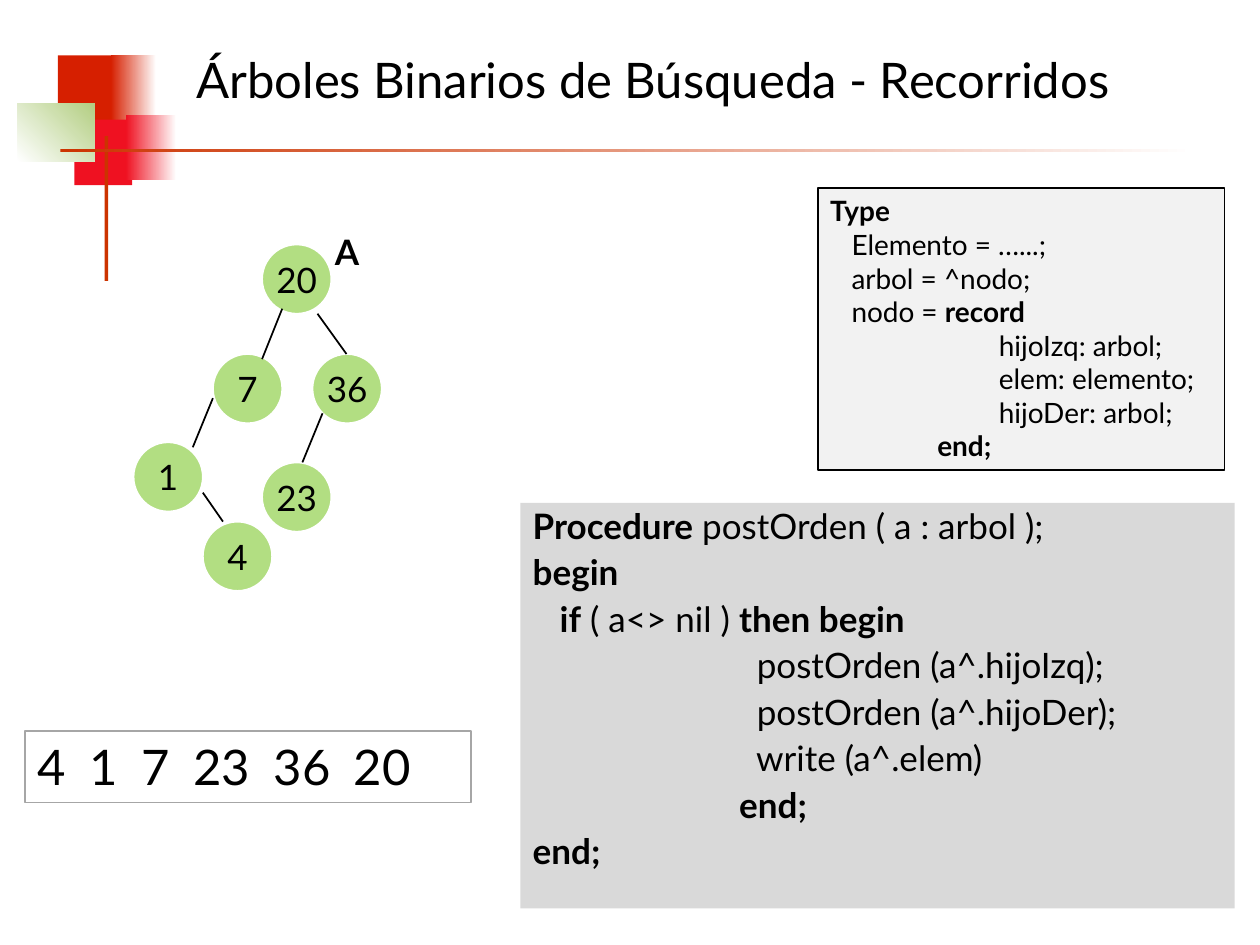
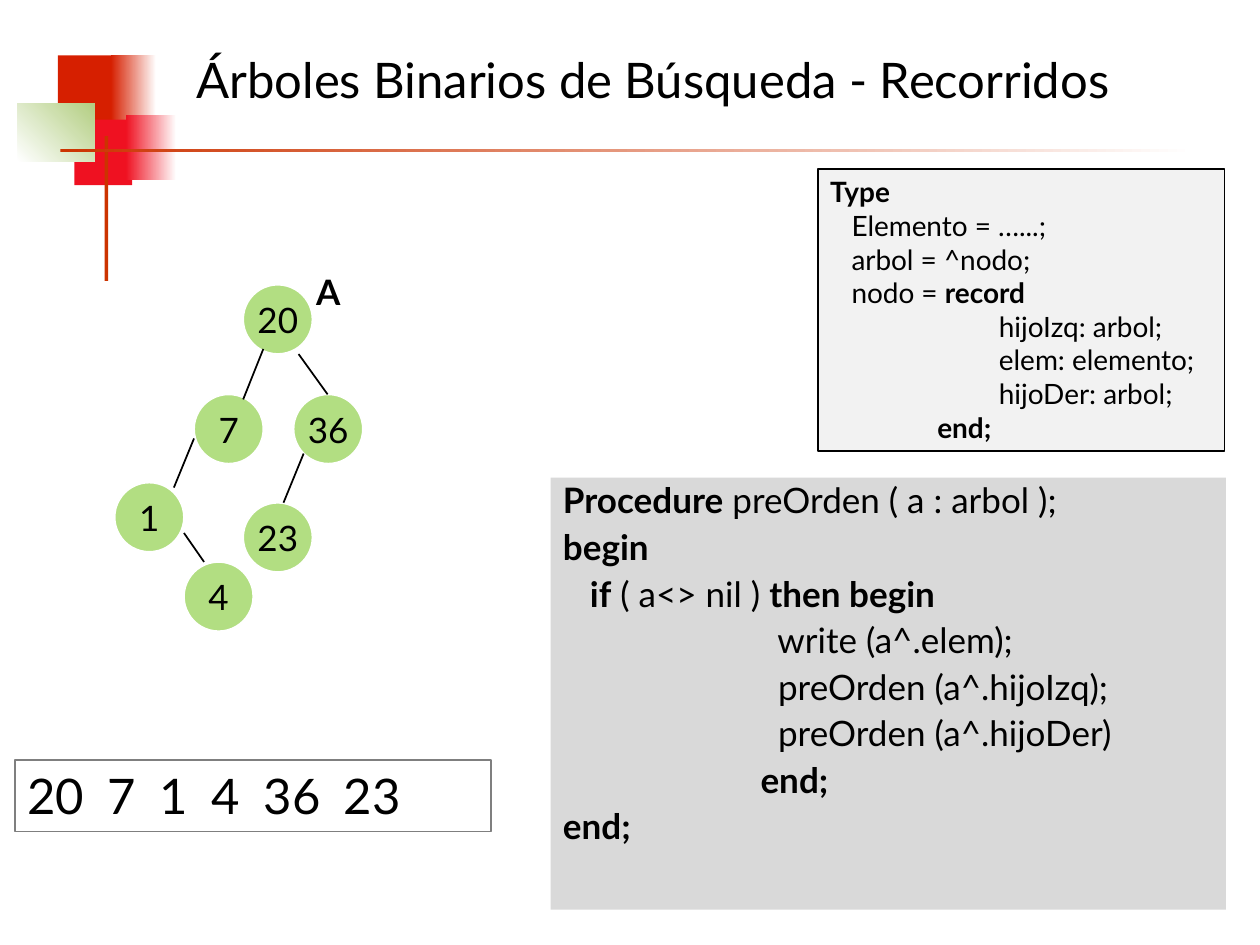
from lxml.etree import SubElement
from pptx import Presentation
from pptx.dml.color import RGBColor as Rgb
from pptx.enum.shapes import MSO_CONNECTOR as Connector, MSO_SHAPE as Shape
from pptx.enum.text import MSO_ANCHOR as Anchor, MSO_AUTO_SIZE as AutoSize, PP_ALIGN as Align
from pptx.oxml.ns import qn
from pptx.util import Inches, Pt

FONT = "Lato"
TITLE = "Árboles Binarios de Búsqueda - Recorridos"
COLORS = {
    "black": "000000",
    "white": "FFFFFF",
    "brick": "D61F00",
    "red": "EF1121",
    "leaf": "B3CE82",
    "rust": "CC3300",
    "node": "B2DE82",
    "type": "F2F2F2",
    "code": "D9D9D9",
    "light_border": "A6A6A6",
    "dark_border": "7F7F7F",
}
DECORATION = [
    ((0.46, 0.44, 0.48, 0.52), ("brick",), 0),
    ((0.88, 0.44, 0.36, 0.52), ("brick", "white"), 0),
    ((0.59, 0.95, 0.46, 0.52), ("red",), 0),
    ((1, 0.91, 0.4, 0.52), ("red", "white"), 0),
    ((0.14, 0.82, 0.61, 0.46), ("white", "leaf"), 45),
    ((0.83, 1.08, 0.03, 1.15), ("rust",), 0),
    ((0.48, 1.18, 9, 0.03), ("rust", "white"), 0),
]
NODE_SIZE = 0.55
NODES = {
    "20": (0, 0),
    "7": (-0.39, 0.87),
    "36": (0.4, 0.87),
    "1": (-1.02, 1.57),
    "4": (-0.47, 2.2),
    "23": (0, 1.73),
}
EDGES = [
    ((0.16, 0.51), (0, 0.91)),
    ((0.44, 0.55), (0.67, 0.87)),
    ((-0.39, 1.22), (-0.55, 1.61)),
    ((-0.47, 1.97), (-0.31, 2.2)),
    ((0.48, 1.34), (0.32, 1.73)),
]
TYPE_LINES = [
    "*Type*",
    "   Elemento = …...;",
    "   arbol = ^nodo;",
    "   nodo = *record*",
    "\t      hijoIzq: arbol;",
    "\t      elem: elemento;",
    "\t      hijoDer: arbol;",
    "               *end;*",
]


def color(name):
    return Rgb.from_string(COLORS[name])


def add_span(para, text, size, bold=False):
    span = para.add_run()
    span.text = text
    span.font.name = FONT
    span.font.size = Pt(size)
    span.font.bold = bold
    span.font.color.rgb = color("black")
    return span


def add_box(shapes, place, fills=(), border=None, angle=0, kind=Shape.RECTANGLE):
    box = shapes.add_shape(kind, *map(Inches, place))
    box.shadow.inherit = False
    if len(fills) == 2:
        box.fill.gradient()
        box.fill.gradient_angle = angle
        for stop, name in zip(box.fill.gradient_stops, fills):
            stop.color.rgb = color(name)
    elif fills:
        box.fill.solid()
        box.fill.fore_color.rgb = color(fills[0])
    else:
        box.fill.background()
    if border:
        box.line.color.rgb = color(border)
        box.line.width = Pt(1)
    else:
        box.line.fill.background()
    box.text_frame.word_wrap = True
    box.text_frame.vertical_anchor = Anchor.TOP
    box.text_frame.paragraphs[0].alignment = Align.LEFT
    return box


def add_tab_stop(para, inches):
    tabs = SubElement(para._p.get_or_add_pPr(), qn("a:tabLst"))
    SubElement(tabs, qn("a:tab"), pos=str(Inches(inches)), algn="l")


def add_code(slide, place, lines, fill, size, border=None, line_spacing=1.0, gap=0):
    frame = add_box(slide.shapes, place, (fill,), border).text_frame
    for index, line in enumerate(lines):
        para = frame.add_paragraph() if index else frame.paragraphs[0]
        para.alignment = Align.LEFT
        para.line_spacing = line_spacing
        if index and gap:
            para.space_before = Pt(gap)
        if "\t" in line:
            add_tab_stop(para, 1)
        for part, text in enumerate(line.split("*")):
            if text:
                add_span(para, text, size, bold=part % 2 == 1)


def procedure_lines(name, steps, indent):
    return [
        f"*Procedure* {name} ( a : arbol );",
        "*begin*",
        "   *if* ( a<> nil ) *then begin*",
        *(" " * indent + step for step in steps),
        " " * (indent - 2) + "*end;*",
        "*end;*",
    ]


def add_edge(shapes, start, end):
    edge = shapes.add_connector(Connector.STRAIGHT, *map(Inches, start + end))
    edge.line.color.rgb = color("black")
    edge.line.width = Pt(1)
    SubElement(edge._element.spPr, qn("a:effectLst"))


def add_node(shapes, value, left, top):
    place = (left, top, NODE_SIZE, NODE_SIZE)
    frame = add_box(shapes, place, ("node",), "white", kind=Shape.OVAL).text_frame
    frame.word_wrap = False
    frame.vertical_anchor = Anchor.MIDDLE
    frame.paragraphs[0].alignment = Align.CENTER
    add_span(frame.paragraphs[0], value, 20)


def add_tree(slide, left, top):
    shapes = slide.shapes.add_group_shape().shapes
    for value, (across, down) in NODES.items():
        add_node(shapes, value, left + across, top + down)
    for ends in EDGES:
        add_edge(shapes, *((left + across, top + down) for across, down in ends))
    label = shapes.add_textbox(*map(Inches, (left + 0.48, top - 0.16, 0.39, 0.44)))
    label.text_frame.word_wrap = True
    add_span(label.text_frame.paragraphs[0], "A", 20, bold=True)


def add_visit_order(slide, place, values, border):
    para = add_box(slide.shapes, place, border=border).text_frame.paragraphs[0]
    for index, value in enumerate(values):
        if index:
            space = add_span(para, " ", 28)
            space._r.get_or_add_rPr().set("spc", "630")
        add_span(para, value, 28)


def add_title(slide):
    title = slide.shapes.title
    title.left, title.top, title.width, title.height = map(Inches, (1.46, 0.13, 8.11, 1))
    frame = title.text_frame
    frame.word_wrap = True
    frame.auto_size = AutoSize.NONE
    frame.vertical_anchor = Anchor.MIDDLE
    frame.paragraphs[0].alignment = Align.LEFT
    add_span(frame.paragraphs[0], TITLE, 28)


def add_page(deck, tree_at, type_top, code_at, code, order_at, order, border):
    slide = deck.slides.add_slide(deck.slide_layouts[5])
    for place, fills, angle in DECORATION:
        add_box(slide.shapes, place, fills, angle=angle)
    add_title(slide)
    add_visit_order(slide, order_at, order, border)
    add_tree(slide, *tree_at)
    add_code(slide, (6.49, type_top, 3.23, 2.24), TYPE_LINES, "type", 16, border="black")
    add_code(slide, code_at, code, "code", 20, line_spacing=0.9, gap=5)


def main():
    deck = Presentation()
    deck.slide_width, deck.slide_height = Inches(10), Inches(7.5)
    add_page(
        deck,
        tree_at=(2.08, 1.94),
        type_top=1.49,
        code_at=(4.13, 3.99, 5.67, 3.22),
        code=procedure_lines(
            "postOrden",
            ["postOrden (a^.hijoIzq);", "postOrden (a^.hijoDer);", "write (a^.elem)"],
            25,
        ),
        order_at=(0.2, 5.8, 3.54, 0.57),
        order=["4", "1", "7", "23", "36", "20"],
        border="light_border",
    )
    add_page(
        deck,
        tree_at=(1.93, 2.26),
        type_top=1.34,
        code_at=(4.37, 3.79, 5.36, 3.43),
        code=procedure_lines(
            "preOrden",
            ["write (a^.elem);", "preOrden (a^.hijoIzq);", "preOrden (a^.hijoDer)"],
            24,
        ),
        order_at=(0.12, 6.03, 3.78, 0.57),
        order=["20", "7", "1", "4", "36", "23"],
        border="dark_border",
    )
    deck.save("out.pptx")


if __name__ == "__main__":
    main()
